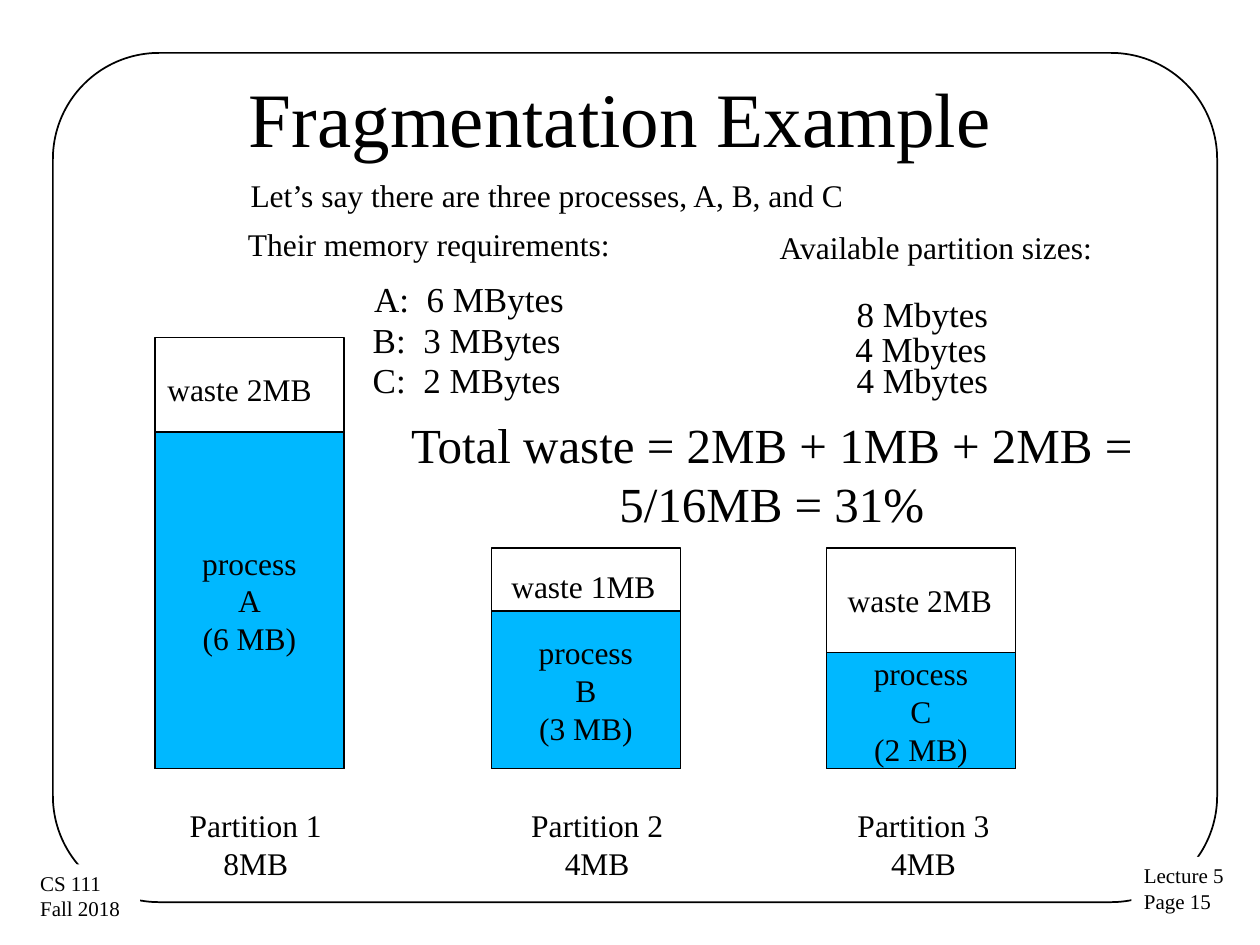
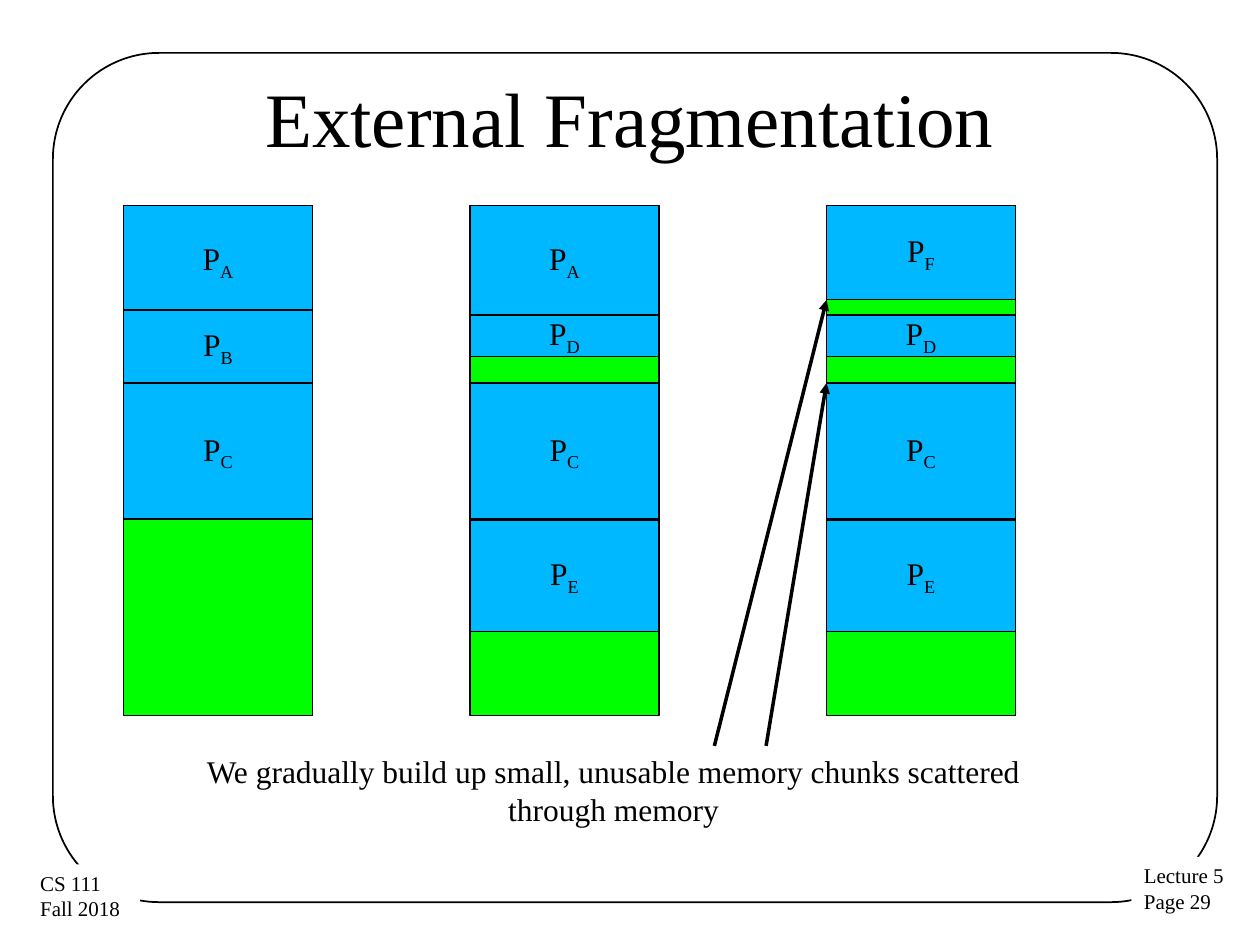
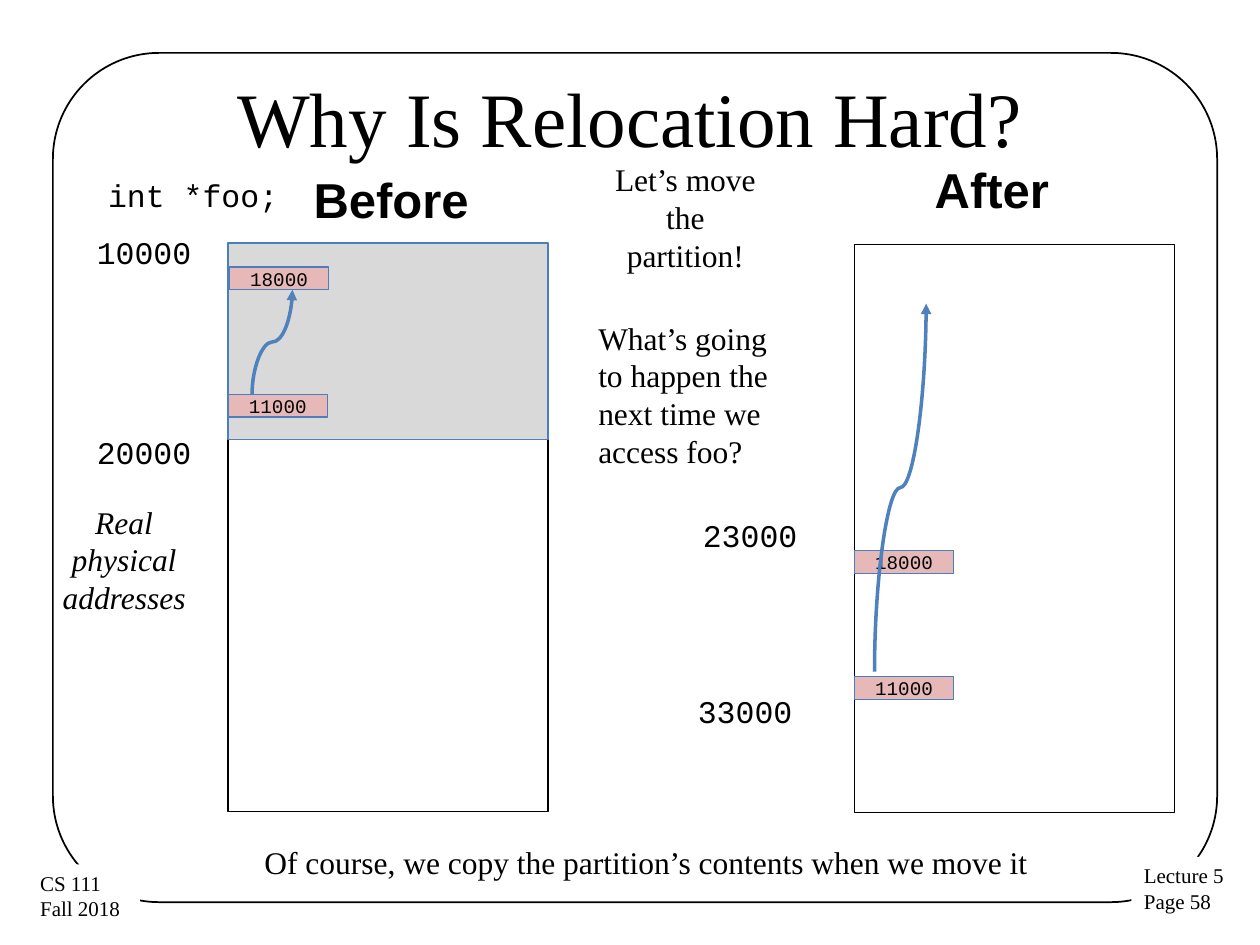
from lxml import etree
from pptx import Presentation
from pptx.dml.color import RGBColor
from pptx.enum.shapes import MSO_CONNECTOR, MSO_SHAPE
from pptx.enum.text import MSO_ANCHOR, MSO_AUTO_SIZE, PP_ALIGN
from pptx.oxml.ns import qn
from pptx.util import Cm, Pt

RECT = MSO_SHAPE.RECTANGLE
ROUND = MSO_SHAPE.ROUNDED_RECTANGLE
STRAIGHT = MSO_CONNECTOR.STRAIGHT
CURVE = MSO_CONNECTOR.CURVE
LEFT, CENTER = PP_ALIGN.LEFT, PP_ALIGN.CENTER
TOP, MIDDLE = MSO_ANCHOR.TOP, MSO_ANCHOR.MIDDLE
GROW, FIXED = MSO_AUTO_SIZE.SHAPE_TO_FIT_TEXT, MSO_AUTO_SIZE.NONE

BLACK, WHITE = "000000", "FFFFFF"
USED, FREE = "00B8FF", "00FF00"
GREY, PINK = "D9D9D9", "E6B9B8"
EDGE, ARROW = "4B7EBC", "4F81BD"
SERIF, SANS, MONO = "Times New Roman", "Arial", "Courier New"
INCH = 2.54


def cm(*sizes):
    return [Cm(size * INCH) for size in sizes]


def color(code):
    return RGBColor.from_string(code)


class Deck:
    def __init__(self):
        self.file = Presentation()
        self.file.slide_width, self.file.slide_height = cm(10, 7.5)
        self.slide = None

    def page(self, title, number):
        self.slide = self.file.slides.add_slide(self.file.slide_layouts[6])
        frame = self.box((0.42, 0.42, 9.24, 6.74), kind=ROUND, width=1)
        frame.adjustments[0] = 0.125
        for spot, words in (
            ((8.98, 6.8, 0.85, 0.51), f"Lecture 5\nPage {number}"),
            ((0.22, 6.86, 0.89, 0.51), "CS 111\nFall 2018"),
        ):
            label = self.box(spot, fill=WHITE, line=None)
            self.label(label, words, size=12, fit=GROW)
        self.text((0.5, 0.3, 9, 1.25), title, size=44, align=CENTER,
                  anchor=MIDDLE, wrap=True, fit=FIXED)

    def label(self, shape, words, size=18, font=SERIF, align=LEFT, anchor=TOP,
              wrap=False, fit=FIXED, **style):
        frame = shape.text_frame
        layout = {"word_wrap": wrap, "vertical_anchor": anchor, "auto_size": fit}
        for key, value in layout.items():
            setattr(frame, key, value)
        look = {"name": font, "size": Pt(size), **style}
        for index, row in enumerate(words.split("\n")):
            para = frame.add_paragraph() if index else frame.paragraphs[0]
            para.alignment = align
            for level, part in enumerate(row.split("_")):
                run = para.add_run()
                run.text = part
                for key, value in look.items():
                    setattr(run.font, key, value)
                run.font.color.rgb = color(BLACK)
                if level:
                    run.font._element.set("baseline", "-25000")

    def text(self, spot, words, **style):
        shape = self.slide.shapes.add_textbox(*cm(*spot))
        self.label(shape, words, **{"fit": GROW, **style})

    def box(self, spot, words="", fill=None, line=BLACK, width=0.75, kind=RECT, **style):
        shape = self.slide.shapes.add_shape(kind, *cm(*spot))
        shape.shadow.inherit = False
        if fill:
            shape.fill.solid()
            shape.fill.fore_color.rgb = color(fill)
        else:
            shape.fill.background()
        if line:
            shape.line.color.rgb = color(line)
            shape.line.width = Pt(width)
        else:
            shape.line.fill.background()
        if words:
            self.label(shape, words, align=CENTER, anchor=MIDDLE, **style)
        return shape

    def arrow(self, start, end, kind=STRAIGHT, line=BLACK):
        link = self.slide.shapes.add_connector(kind, *cm(*start, *end))
        link.line.color.rgb = color(line)
        link.line.width = Pt(2)
        props = link.element.spPr
        etree.SubElement(props.find(qn("a:ln")), qn("a:tailEnd"), type="triangle")
        etree.SubElement(props, qn("a:effectLst"))
        return props

    def curve(self, start, end):
        (left, low), (right, high) = start, end
        mid_x, mid_y = (left + right) / 2, (low + high) / 2
        half_x, half_y = (low - high) / 2, (right - left) / 2
        props = self.arrow((mid_x + half_x, mid_y + half_y),
                           (mid_x - half_x, mid_y - half_y), CURVE, ARROW)
        props.find(qn("a:xfrm")).set("rot", "5400000")


def example(deck):
    deck.page("Fragmentation Example ", 15)
    base = 6.1
    parts = (
        (1.23, 3.42, 2.67, "A", 6, 8, 1.4, (1.23, 2.89), 2),
        (3.9, 1.75, 1.25, "B", 3, 4, 4.11, (3.96, 4.45), 1),
        (6.56, 1.75, 0.92, "C", 2, 4, 6.7, (6.63, 4.56), 2),
    )
    for index, (left, tall, used, name, need, size, label, spot, waste) in enumerate(parts, 1):
        deck.box((left, base - tall, 1.5, tall))
        deck.box((left, base - used, 1.5, used), f"process\n{name}\n({need} MB)", USED)
        deck.text((label, 6.35, 1.26, 0.71), f"Partition {index}\n{size}MB", align=CENTER)
        deck.text((*spot, 1.5, 0.4), f"waste {waste}MB", wrap=True)
    deck.text((2.75, 3.24, 6.75, 1.04), "Total waste = 2MB + 1MB + 2MB = 5/16MB = 31%",
              size=28, align=CENTER, wrap=True)
    for spot, words in (
        ((1.89, 1.35, 6.54, 0.5), "Let’s say there are three processes, A, B, and C"),
        ((1.87, 1.74, 4.07, 0.51), "Their memory requirements:"),
        ((6.09, 1.76, 3.56, 0.51), "Available partition sizes:"),
    ):
        deck.text(spot, words)
    for left, top, wide, words in (
        (2.87, 2.15, 1.72, "A:  6 MBytes"),
        (2.86, 2.48, 1.71, "B:  3 MBytes"),
        (2.86, 2.8, 1.71, "C:  2 MBytes"),
        (6.7, 2.27, 1.25, "8 Mbytes"),
        (6.69, 2.55, 1.25, "4 Mbytes"),
        (6.7, 2.8, 1.25, "4 Mbytes"),
    ):
        deck.text((left, top, wide, 0.44), words, size=20)


def external(deck):
    deck.page("External Fragmentation", 29)
    blocks = {"A": (1.63, 0.88), "B": (2.46, 0.58), "C": (3.04, 1.08),
              "D": (2.5, 0.33), "E": (4.13, 0.88), "F": (1.63, 0.75)}
    for left, names in ((0.98, "ABC"), (3.73, "ACDE"), (6.56, "CDEF")):
        deck.box((left, 1.63, 1.5, 4.05), fill=FREE)
        for name in names:
            top, tall = blocks[name]
            deck.box((left, top, 1.5, tall), f"P_{name}", USED)
    deck.text((1.43, 5.92, 6.88, 0.91),
              "We gradually build up small, unusable memory chunks scattered through memory",
              align=CENTER, wrap=True)
    for left, top in ((5.67, 2.38), (6.08, 3.04)):
        deck.arrow((left, 5.92), (6.56, top))


def moving(deck):
    deck.page("Why Is Relocation Hard?", 58)
    for left, top in ((6.78, 1.94), (1.81, 1.93)):
        deck.box((left, top, 2.54, 4.51), fill=WHITE)
    deck.box((1.81, 1.93, 2.54, 1.56), fill=GREY, line=EDGE)
    for left, top, words in ((1.81, 3.13, "11000"), (1.82, 2.12, "18000"),
                             (6.78, 4.37, "18000"), (6.78, 5.37, "11000")):
        deck.box((left, top, 0.79, 0.18), words, PINK, EDGE, size=11, font=MONO, wrap=True)
    for left, top, wide, words in (
        (0.67, 1.8, 0.96, "10000"),
        (0.67, 3.39, 0.96, "20000"),
        (5.48, 4.05, 0.96, "23000"),
        (5.44, 5.44, 0.96, "33000"),
        (0.76, 1.35, 1.56, "int *foo;"),
    ):
        deck.text((left, top, wide, 0.4), words, font=MONO)
    deck.curve((2, 3.13), (2.32, 2.3))
    deck.curve((6.94, 5.33), (7.35, 2.41))
    deck.text((0.33, 3.94, 1.31, 1.01), "Real physical addresses",
              align=CENTER, wrap=True, italic=True)
    deck.text((4.78, 1.22, 1.32, 1.01), "Let’s move the partition!", align=CENTER, wrap=True)
    deck.text((4.65, 2.48, 1.57, 1.31),
              "What’s going to happen the next time we access foo?", wrap=True)
    deck.text((2, 6.64, 6.32, 0.4),
              "Of course, we copy the partition’s contents when we move it")
    for spot, words in (((2.39, 1.3, 1.45, 0.57), "Before"), ((7.32, 1.22, 1.12, 0.57), "After")):
        deck.text(spot, words, size=28, font=SANS, bold=True)


def main():
    deck = Deck()
    for build in (example, external, moving):
        build(deck)
    deck.file.save("out.pptx")


if __name__ == "__main__":
    main()
